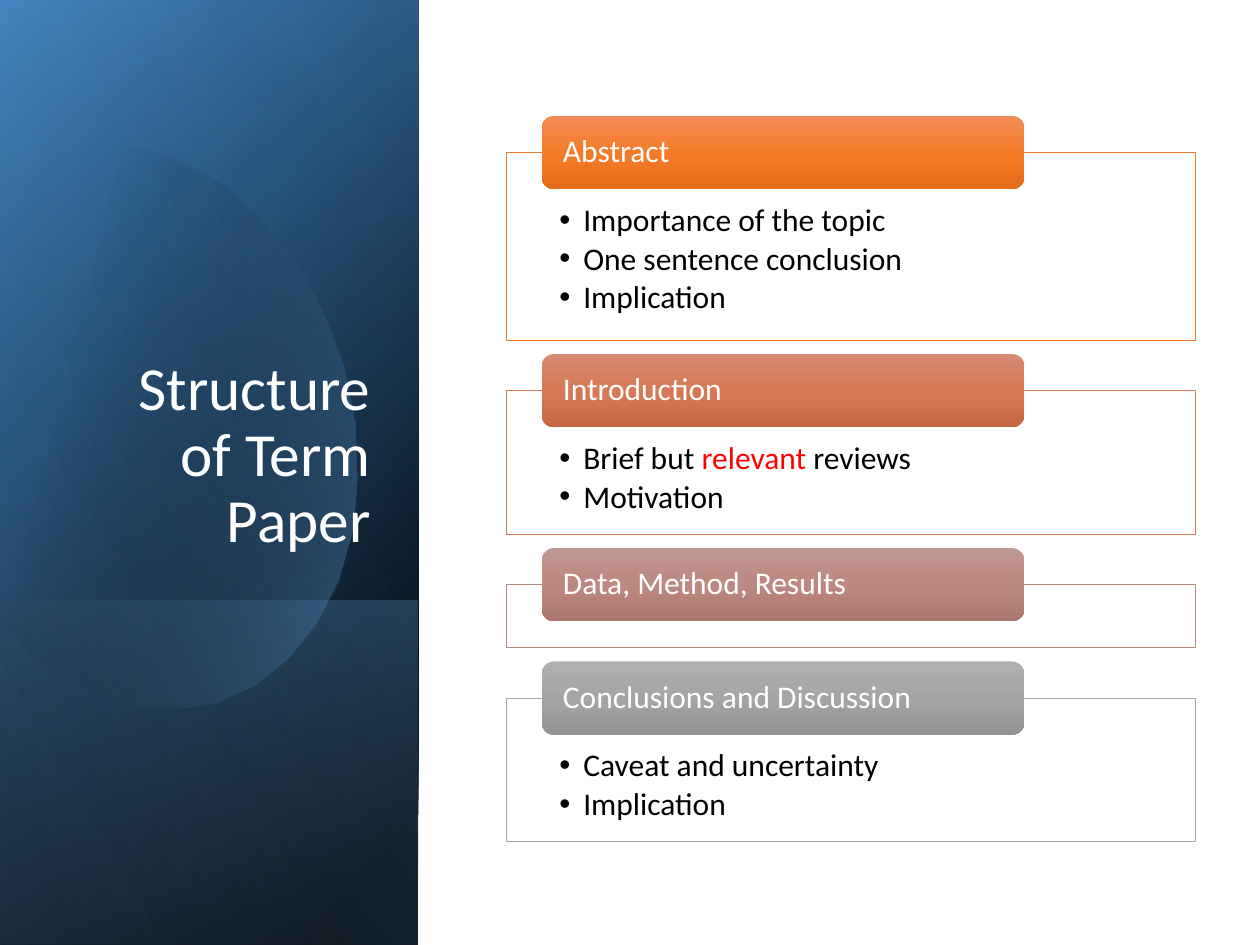
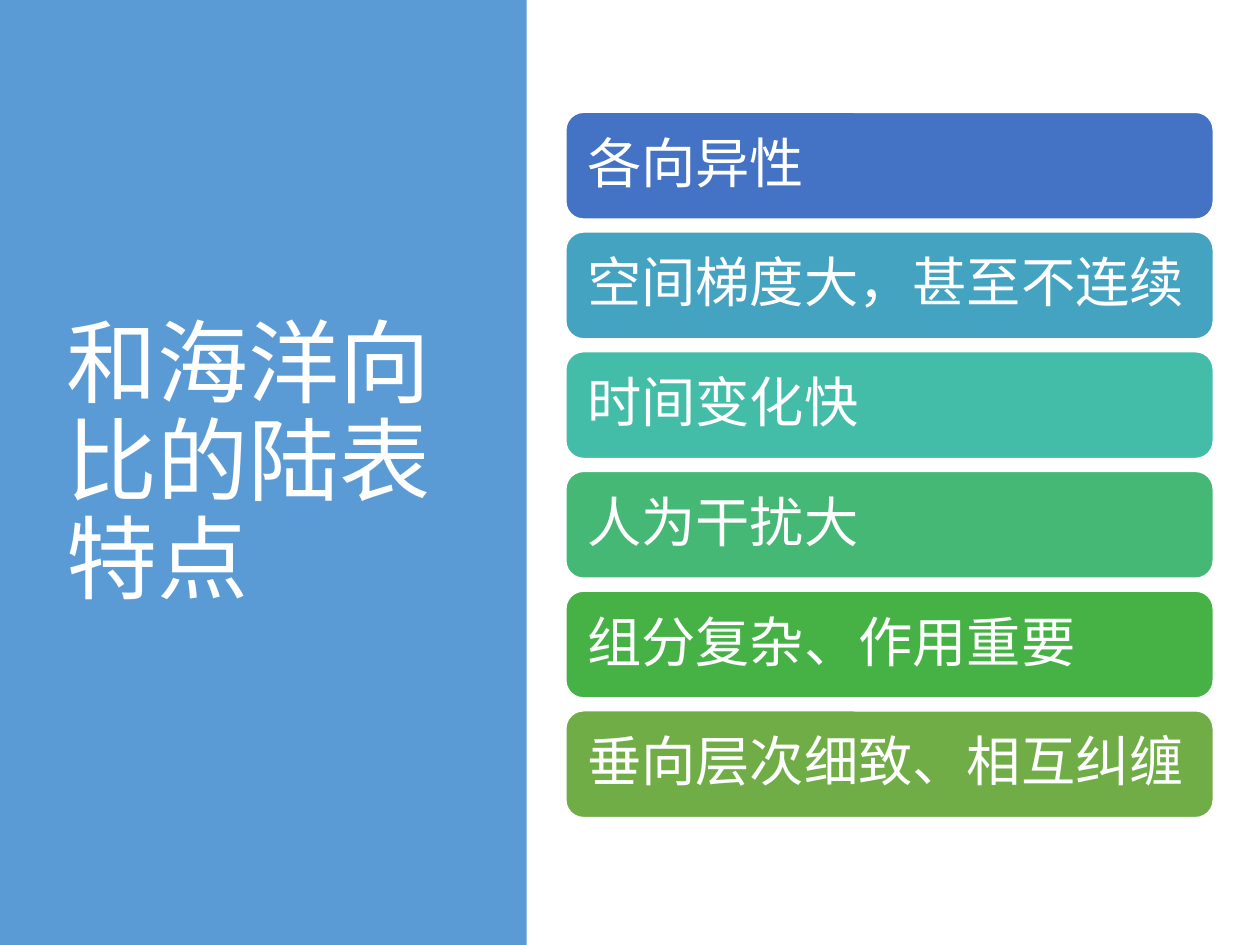
from dataclasses import dataclass

from lxml import etree
from pptx import Presentation
from pptx.dml.color import RGBColor
from pptx.enum.shapes import MSO_SHAPE
from pptx.enum.text import MSO_ANCHOR, PP_ALIGN
from pptx.oxml.ns import qn
from pptx.util import Inches, Pt

RECT, ROUNDED = MSO_SHAPE.RECTANGLE, MSO_SHAPE.ROUNDED_RECTANGLE
TOP, MIDDLE, BOTTOM = MSO_ANCHOR.TOP, MSO_ANCHOR.MIDDLE, MSO_ANCHOR.BOTTOM
LEFT, RIGHT = PP_ALIGN.LEFT, PP_ALIGN.RIGHT


@dataclass(frozen=True)
class Theme:
    font: str = "Calibri"
    white: str = "FFFFFF"
    black: str = "000000"
    red: str = "FF0000"
    blue: str = "5B9BD5"
    deep_blue: str = "2E75B6"
    pale_blue: str = "9DC3E6"
    body: float = 18
    paper_title: float = 35
    bar: float = 31
    land_title: float = 52


T = Theme()

PAPER_TITLE = "Structure of Term Paper"
# heading, frame height, line colour, heading gradient, bullets
SECTIONS = [
    ("Abstract", 1.49, "ED7D31", ("F18C57", "F67B28", "E56C19"),
     ["Importance of the topic", "One sentence conclusion", "Implication"]),
    ("Introduction", 1.14, "D17B5C", ("D78B72", "D77956", "C66846"),
     [[("Brief but ", T.black), ("relevant", T.red), (" reviews", T.black)],
      "Motivation"]),
    ("Data, Method, Results", 0.5, "B98A82", ("C19791", "BC8880", "AA766E"), []),
    ("Conclusions and Discussion", 1.14, "A5A5A5", ("AFAFAF", "A5A5A5", "939393"),
     ["Caveat and uncertainty", "Implication"]),
]

LAND_TITLE = "和海洋向比的陆表特点"
LAND_FEATURES = [
    ("各向异性", "4472C4"),
    ("空间梯度大，甚至不连续", "44A3C0"),
    ("时间变化快", "43BDA7"),
    ("人为干扰大", "44B874"),
    ("组分复杂、作用重要", "46B246"),
    ("垂向层次细致、相互纠缠", "70AD47"),
]

# box before rotation, gradient stops (position, colour, opacity), angle
PANEL = (-2.09, 2.09, 7.5, 3.32)
PANEL_LAYERS = [
    (PANEL, [(8, T.black, 100), (100, T.deep_blue, 100)], 50),
    (PANEL, [(0, T.black, 0), (99, T.blue, 46)], 30),
    ((0.29, 4.48, 2.74, 3.31), [(2, T.blue, 29), (100, T.black, 30)], 130),
]
PANEL_SHEEN = (PANEL, [(0, T.black, 0), (99, T.pale_blue, 11)], 120)
# hundredths of an inch
OVAL_START = (96, 114)
OVAL_CURVES = [
    [(171, 122), (244, 192), (273, 290)],
    [(307, 412), (262, 531), (171, 557)],
    [(114, 574), (53, 550), (7, 500)],
    [(-3, 488)],
    [(-25, 166)],
    [(-15, 154)],
    [(2, 137), (22, 125), (45, 118)],
    [(62, 113), (79, 112), (96, 114)],
]
OVAL_STOPS = [(29, T.black, 0), (100, T.blue, 43)]


def rgb(value):
    return RGBColor.from_string(value)


def set_gradient(shape, stops, angle):
    shape.fill.background()
    sp_pr = shape.element.spPr
    grad = etree.Element(qn("a:gradFill"), rotWithShape="1")
    gs_list = etree.SubElement(grad, qn("a:gsLst"))
    for position, color, opacity in stops:
        gs = etree.SubElement(gs_list, qn("a:gs"), pos=str(position * 1000))
        clr = etree.SubElement(gs, qn("a:srgbClr"), val=color)
        if opacity < 100:
            etree.SubElement(clr, qn("a:alpha"), val=str(opacity * 1000))
    etree.SubElement(grad, qn("a:lin"), ang=str(angle * 60000), scaled="0")
    sp_pr.replace(sp_pr.find(qn("a:noFill")), grad)


def add_box(s, kind, box, fill=None, line=None, line_width=0.5):
    sp = s.shapes.add_shape(kind, *map(Inches, box))
    sp.shadow.inherit = False
    if fill:
        sp.fill.solid()
        sp.fill.fore_color.rgb = rgb(fill)
    if line:
        sp.line.color.rgb = rgb(line)
        sp.line.width = Pt(line_width)
    else:
        sp.line.fill.background()
    return sp


def add_bullet(p):
    p_pr = p._p.get_or_add_pPr()
    p_pr.set("marL", str(Inches(0.19)))
    p_pr.set("indent", str(-Inches(0.19)))
    etree.SubElement(p_pr, qn("a:buFont"), typeface="Arial")
    etree.SubElement(p_pr, qn("a:buChar"), char="•")


def write(sp, lines, *, size, color=T.white, align=LEFT, anchor=MIDDLE,
          insets=(0.1, 0.05, 0.1, 0.05), bullets=False, after=0):
    """Fill a shape with lines; a line is a string or a list of (text, colour)."""
    tf = sp.text_frame
    tf.word_wrap = True
    tf.vertical_anchor = anchor
    tf.margin_left, tf.margin_top, tf.margin_right, tf.margin_bottom = map(Inches, insets)
    for i, line in enumerate(lines):
        p = tf.add_paragraph() if i else tf.paragraphs[0]
        p.alignment = align
        p.line_spacing = 0.9
        p.space_after = Pt(after)
        if bullets:
            add_bullet(p)
        for text, run_color in [(line, color)] if isinstance(line, str) else line:
            r = p.add_run()
            r.text = text
            r.font.name = T.font
            r.font.size = Pt(size)
            r.font.color.rgb = rgb(run_color)


def add_title(s, box, text, **style):
    write(s.shapes.add_textbox(*map(Inches, box)), [text], **style)


def add_panel_layer(s, box, stops, angle):
    sp = add_box(s, RECT, box)
    set_gradient(sp, stops, angle)
    sp.rotation = 90
    sp.element.spPr.find(qn("a:xfrm")).set("flipH", "1")


def curve_points(start, controls, steps=8):
    """Points along a cubic curve, or the single end point of a straight side."""
    if len(controls) == 1:
        return controls
    points = []
    for i in range(1, steps + 1):
        t = i / steps
        weights = ((1 - t) ** 3, 3 * t * (1 - t) ** 2, 3 * t * t * (1 - t), t ** 3)
        points.append(tuple(sum(w * c[axis] for w, c in zip(weights, [start, *controls]))
                            for axis in (0, 1)))
    return points


def add_oval(s):
    points, start = [], OVAL_START
    for controls in OVAL_CURVES:
        points += curve_points(start, controls)
        start = controls[-1]
    builder = s.shapes.build_freeform(*OVAL_START, scale=Inches(0.01))
    builder.add_line_segments(points, close=True)
    sp = builder.convert_to_shape()
    sp.shadow.inherit = False
    sp.line.fill.background()
    set_gradient(sp, OVAL_STOPS, 14)


def build_paper_slide(s):
    for layer in PANEL_LAYERS:
        add_panel_layer(s, *layer)
    add_oval(s)
    add_panel_layer(s, *PANEL_SHEEN)
    add_title(s, (0.48, 1.84, 2.56, 2.62), PAPER_TITLE, size=T.paper_title,
              align=RIGHT, anchor=BOTTOM, insets=(0.2, 0.05, 0.1, 0.05))

    top, heading_height, gap = 0.92, 0.58, 0.11
    for heading, height, line, colors, bullets in SECTIONS:
        frame_top = top + heading_height / 2
        frame = add_box(s, RECT, (4.02, frame_top, 5.47, height), T.white, line)
        if bullets:
            write(frame, bullets, size=T.body, color=T.black, anchor=TOP,
                  insets=(0.42, 0.41, 0.42, 0.14), bullets=True, after=2.7)
        tab = add_box(s, ROUNDED, (4.3, top, 3.83, heading_height))
        set_gradient(tab, [(i * 50, c, 100) for i, c in enumerate(colors)], 90)
        write(tab, [heading], size=T.body, insets=(0.14, 0, 0.14, 0))
        top = frame_top + height + gap


def build_land_slide(s):
    add_box(s, RECT, (0, 0, 4.18, 7.5), T.blue)
    add_title(s, (0.43, 0.68, 3.12, 6.02), LAND_TITLE, size=T.land_title)
    for i, (feature, color) in enumerate(LAND_FEATURES):
        bar = add_box(s, ROUNDED, (4.49, 0.89 + i * 0.95, 5.14, 0.85),
                      color, T.white, 1)
        write(bar, [feature], size=T.bar, insets=(0.13, 0.13, 0.1, 0.13))


def main():
    prs = Presentation()
    prs.slide_width, prs.slide_height = Inches(10), Inches(7.5)
    for build in (build_paper_slide, build_land_slide):
        build(prs.slides.add_slide(prs.slide_layouts[6]))
    prs.save("out.pptx")


if __name__ == "__main__":
    main()
